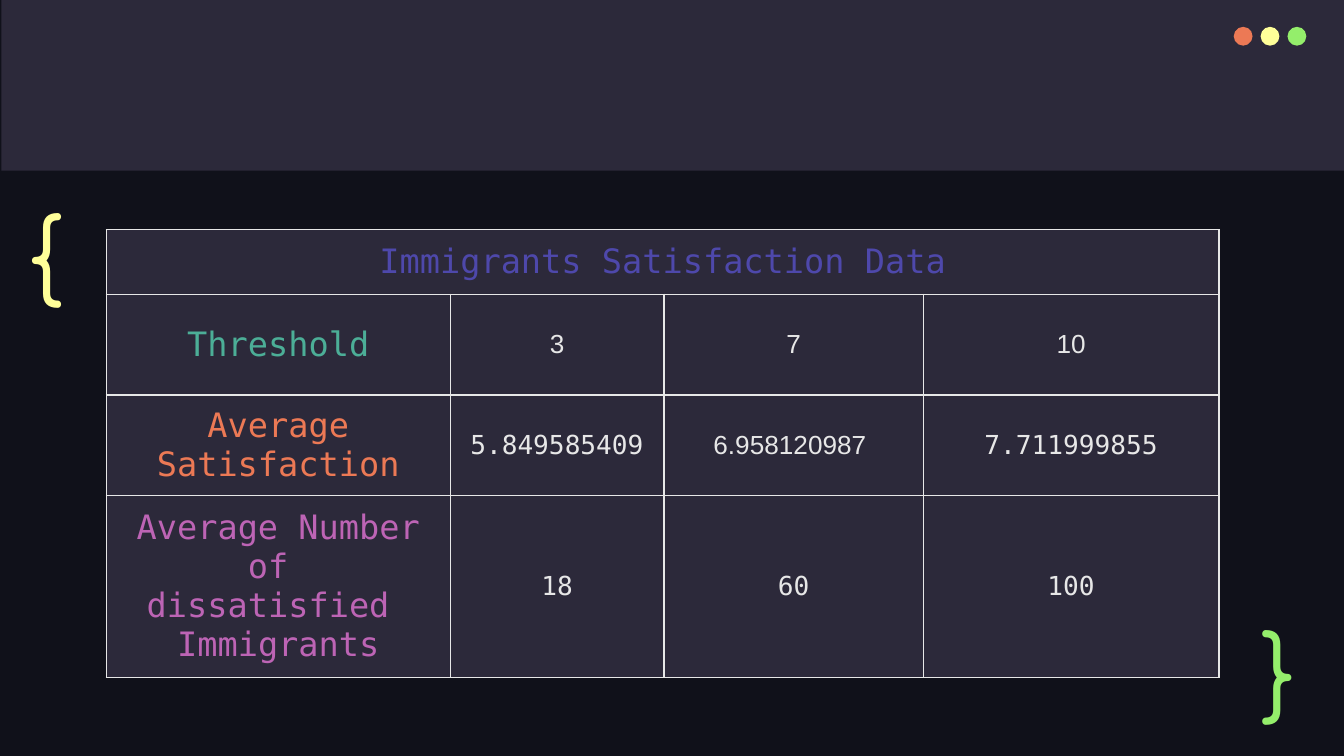
from lxml.etree import SubElement
from pptx import Presentation
from pptx.dml.color import RGBColor
from pptx.enum.shapes import MSO_SHAPE
from pptx.enum.text import MSO_ANCHOR, PP_ALIGN
from pptx.oxml.ns import qn
from pptx.util import Inches, Pt

MONO, SANS, ROUNDED = "DejaVu Sans Mono", "Arial", "Comfortaa"
NIGHT, PANEL, PALE = "10111A", "2C293A", "E7E7E7"
ORANGE, YELLOW, GREEN = "EC7955", "FFFF99", "94EE6B"
INDIGO, TEAL, PURPLE = "4E48AB", "4CAE97", "BD64B5"

COLUMN_WIDTHS = [2.56, 1.59, 1.93, 2.2]
ROW_HEIGHTS = [0.48, 0.75, 0.75, 1.35]
TITLE = "Immigrants Satisfaction Data"
MEASURES = [
    (["Threshold"], TEAL, [("3", SANS), ("7", SANS), ("10", SANS)]),
    (["Average Satisfaction"], ORANGE,
     [("5.849585409", MONO), ("6.958120987 ", SANS), ("7.711999855", MONO)]),
    (["Average Number of ", "dissatisfied ", "Immigrants"], PURPLE,
     [("18", MONO), ("60", MONO), ("100", MONO)]),
]


def paint(fill, color):
    """Give a fill one solid colour."""
    fill.solid()
    fill.fore_color.rgb = RGBColor.from_string(color)


def write(paragraph, text, size, font, color):
    """Add one styled run to a paragraph."""
    run = paragraph.add_run()
    run.text = text
    run.font.size = Pt(size)
    run.font.name = font
    run.font.color.rgb = RGBColor.from_string(color)


def add_plain(slide, kind, left, top, width, height, color):
    """Add a flat shape with no outline."""
    shape = slide.shapes.add_shape(
        kind, Inches(left), Inches(top), Inches(width), Inches(height))
    shape.shadow.inherit = False
    shape.line.fill.background()
    paint(shape.fill, color)


def add_header(slide, left, top, width, height):
    """Draw the header band with its three window dots."""
    add_plain(slide, MSO_SHAPE.RECTANGLE, left, top, width, height, PANEL)
    for index, color in enumerate([ORANGE, YELLOW, GREEN]):
        add_plain(slide, MSO_SHAPE.OVAL, left + 9.17 + index * 0.2, top + 0.2,
                  0.14, 0.14, color)


def add_brace(slide, left, top, width, height, brace, color):
    """Place one large decorative brace."""
    box = slide.shapes.add_textbox(
        Inches(left), Inches(top), Inches(width), Inches(height))
    frame = box.text_frame
    frame.word_wrap = True
    frame.margin_left = frame.margin_right = Inches(0.1)
    frame.margin_top = frame.margin_bottom = Inches(0.1)
    write(frame.paragraphs[0], brace, 50, ROUNDED, color)


def add_borders(cell):
    """Rule all four sides of a cell with a thin pale line."""
    properties = cell._tc.get_or_add_tcPr()
    for index, side in enumerate(["a:lnL", "a:lnR", "a:lnT", "a:lnB"]):
        border = properties.makeelement(qn(side), {"w": str(Pt(0.75))})
        solid = SubElement(border, qn("a:solidFill"))
        SubElement(solid, qn("a:srgbClr"), val=PALE)
        properties.insert(index, border)


def fill_cell(cell, lines, size, font, color):
    """Write centred lines into a cell."""
    frame = cell.text_frame
    for index, line in enumerate(lines):
        paragraph = frame.add_paragraph() if index else frame.paragraphs[0]
        paragraph.alignment = PP_ALIGN.CENTER
        write(paragraph, line, size, font, color)


def add_satisfaction_table(slide, left, top, width, height):
    """Build the satisfaction table under its merged title row."""
    table = slide.shapes.add_table(
        len(ROW_HEIGHTS), len(COLUMN_WIDTHS),
        Inches(left), Inches(top), Inches(width), Inches(height)).table
    for column, column_width in zip(table.columns, COLUMN_WIDTHS):
        column.width = Inches(column_width)
    for row, row_height in zip(table.rows, ROW_HEIGHTS):
        row.height = Inches(row_height)
    for cell in table.iter_cells():
        cell.vertical_anchor = MSO_ANCHOR.MIDDLE
        cell.margin_left = cell.margin_right = Inches(0.1)
        cell.margin_top = cell.margin_bottom = Inches(0.07)
        paint(cell.fill, PANEL)
        add_borders(cell)

    table.cell(0, 0).merge(table.cell(0, len(COLUMN_WIDTHS) - 1))
    fill_cell(table.cell(0, 0), [TITLE], 18, MONO, INDIGO)
    for row, (label, color, values) in enumerate(MEASURES, 1):
        fill_cell(table.cell(row, 0), label, 18, MONO, color)
        for column, (value, font) in enumerate(values, 1):
            fill_cell(table.cell(row, column), [value], 14, font, PALE)


def main():
    """Build and save the slide."""
    deck = Presentation()
    deck.slide_width = Inches(10)
    deck.slide_height = deck.slide_width * 9 // 16
    slide = deck.slides.add_slide(deck.slide_layouts[6])
    paint(slide.background.fill, NIGHT)
    add_header(slide, 0.01, 0, 10, 1.27)
    add_satisfaction_table(slide, 0.79, 1.71, sum(COLUMN_WIDTHS), sum(ROW_HEIGHTS))
    add_brace(slide, 0.11, 1.34, 0.77, 0.95, "{", YELLOW)
    add_brace(slide, 9.29, 4.44, 0.57, 0.83, "}", GREEN)
    deck.save("out.pptx")


if __name__ == "__main__":
    main()
